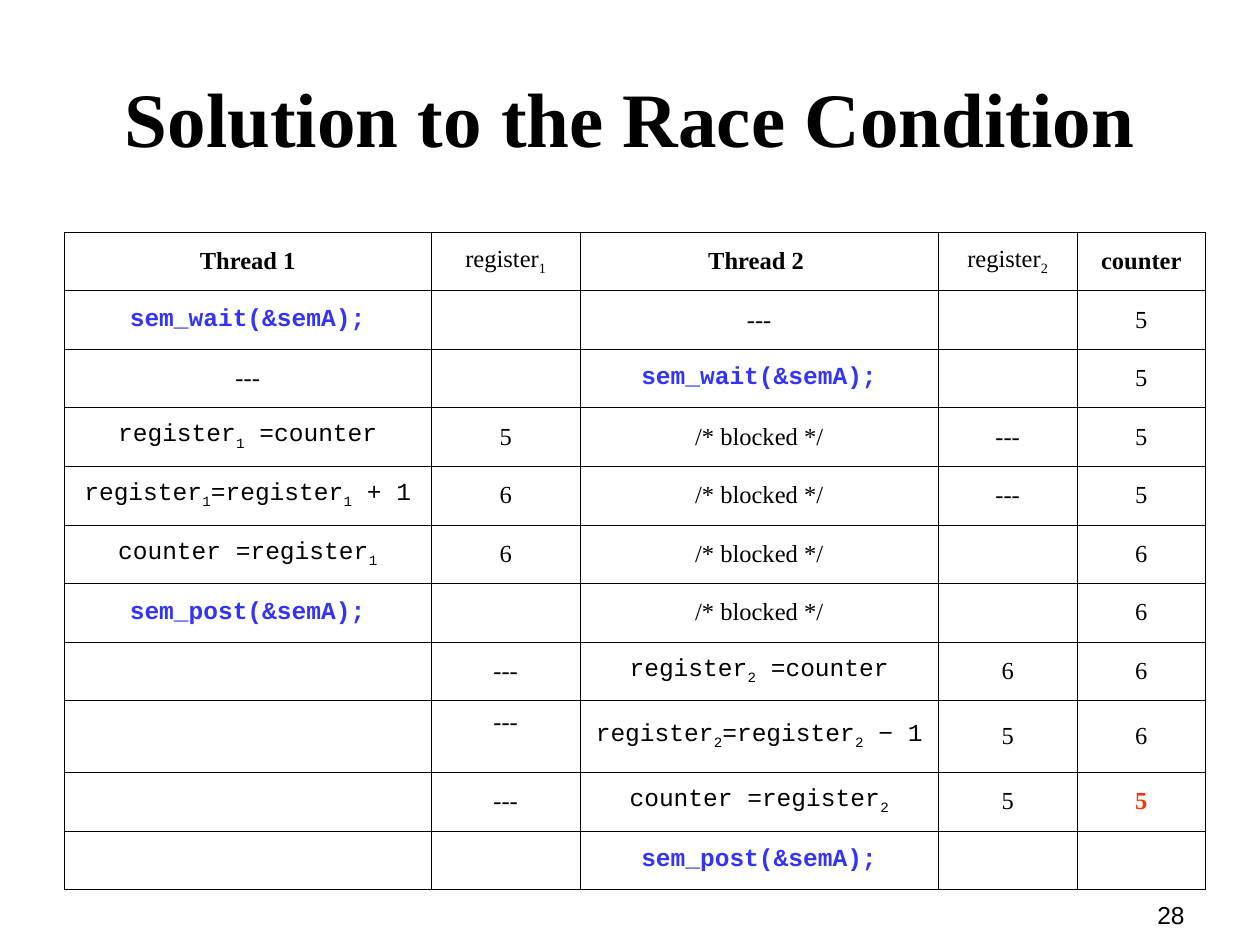
from dataclasses import dataclass

from lxml import etree
from pptx import Presentation
from pptx import util as u
from pptx.dml import color
from pptx.enum import text
from pptx.oxml import ns


@dataclass(frozen=True)
class Theme:
    """Colours, fonts and type sizes of the slide."""
    ink: str = "000000"
    call: str = "3333FF"
    alert: str = "FF3300"
    serif: str = "Times New Roman"
    mono: str = "Courier New"
    sans: str = "Arial"
    head: int = 44
    body: int = 14
    rule: float = 0.34


THEME = Theme()
COLS = (2.91, 1.18, 2.84, 1.1, 1.02)
ROW, TALL = 0.465, 0.57
STEPS = (
    ("Thread 1", "register~1", "Thread 2 ", "register~2", "counter"),
    ("sem_wait(&semA);", "", "---", "", "5"),
    ("---", "", "sem_wait(&semA);", "", "5"),
    ("register~1 =counter", "5", "/* blocked */", "---", "5"),
    ("register~1=register~1 + 1", "6", "/* blocked */", "---", "5"),
    ("counter =register~1", "6", "/* blocked */", "", "6"),
    ("sem_post(&semA);", "", "/* blocked */", "", "6"),
    ("", "---", "register~2 =counter", "6", "6"),
    ("", "---", "register~2=register~2 \u2212 1", "5", "6"),
    ("", "---", "counter =register~2", "5", "5"),
    ("", "", "sem_post(&semA);", "", ""),
)
LONG = 8
FINAL = (9, 4)


def write(frame, words, size=THEME.body, font=THEME.serif, ink=THEME.ink,
          bold=False, align=text.PP_ALIGN.CENTER):
    """Write one paragraph; the character after each ~ is a subscript."""
    para = frame.paragraphs[0]
    para.alignment = align
    first, *rest = words.split("~")
    parts = [(first, False)]
    for part in rest:
        parts += [(part[0], True), (part[1:], False)]
    for part, low in parts:
        if not part:
            continue
        run = para.add_run()
        run.text = part
        run.font.size = u.Pt(size)
        run.font.name = font
        run.font.bold = bold
        run.font.color.rgb = color.RGBColor.from_string(ink)
        if low:
            run.font._element.set("baseline", "-25000")


def look(row, col, words):
    """Choose the text format of a table cell."""
    if row == 0:
        return {"bold": "~" not in words}
    if (row, col) == FINAL:
        return {"bold": True, "ink": THEME.alert}
    if words.startswith("sem_"):
        return {"bold": True, "ink": THEME.call, "font": THEME.mono}
    if "counter" in words or "register" in words:
        return {"font": THEME.mono}
    return {}


def border(cell):
    """Draw a thin line on all four sides of a cell."""
    props = cell._tc.get_or_add_tcPr()
    for side in ("a:lnL", "a:lnR", "a:lnT", "a:lnB"):
        line = etree.SubElement(props, ns.qn(side), w=str(u.Pt(THEME.rule)))
        fill = etree.SubElement(line, ns.qn("a:solidFill"))
        etree.SubElement(fill, ns.qn("a:srgbClr"), val=THEME.ink)


def title(slide, left, top, width, height):
    """Place the slide title."""
    shape = slide.shapes.title
    shape.left, shape.top = u.Inches(left), u.Inches(top)
    shape.width, shape.height = u.Inches(width), u.Inches(height)
    shape.text_frame.vertical_anchor = text.MSO_ANCHOR.MIDDLE
    write(shape.text_frame, "Solution to the Race Condition",
          size=THEME.head, bold=True)


def trace(slide, left, top, width, height):
    """Place the table of thread steps."""
    box = [u.Inches(n) for n in (left, top, width, height)]
    grid = slide.shapes.add_table(len(STEPS), len(COLS), *box).table
    grid.first_row = grid.horz_banding = False
    for col, share in zip(grid.columns, COLS):
        col.width = u.Inches(width * share / sum(COLS))
    for r, step in enumerate(STEPS):
        grid.rows[r].height = u.Inches(TALL if r == LONG else ROW)
        for c, words in enumerate(step):
            cell = grid.cell(r, c)
            cell.vertical_anchor = text.MSO_ANCHOR.MIDDLE
            border(cell)
            cell.fill.background()
            write(cell.text_frame, words, **look(r, c, words))
    grid.cell(LONG, 1).margin_bottom = u.Inches(0.27)


def number(slide, left, top, width, height):
    """Place the page number."""
    box = [u.Inches(n) for n in (left, top, width, height)]
    frame = slide.shapes.add_textbox(*box).text_frame
    frame.word_wrap = True
    write(frame, "28", font=THEME.sans, align=text.PP_ALIGN.RIGHT)


def main():
    """Build and save the slide."""
    deck = Presentation()
    deck.slide_width, deck.slide_height = u.Inches(10), u.Inches(7.5)
    slide = deck.slides.add_slide(deck.slide_layouts[5])
    title(slide, 0.5, 0.3, 9, 1.25)
    trace(slide, 0.51, 1.84, 9.06, 5.22)
    number(slide, 7.17, 7.09, 2.33, 0.52)
    deck.save("out.pptx")


main()
